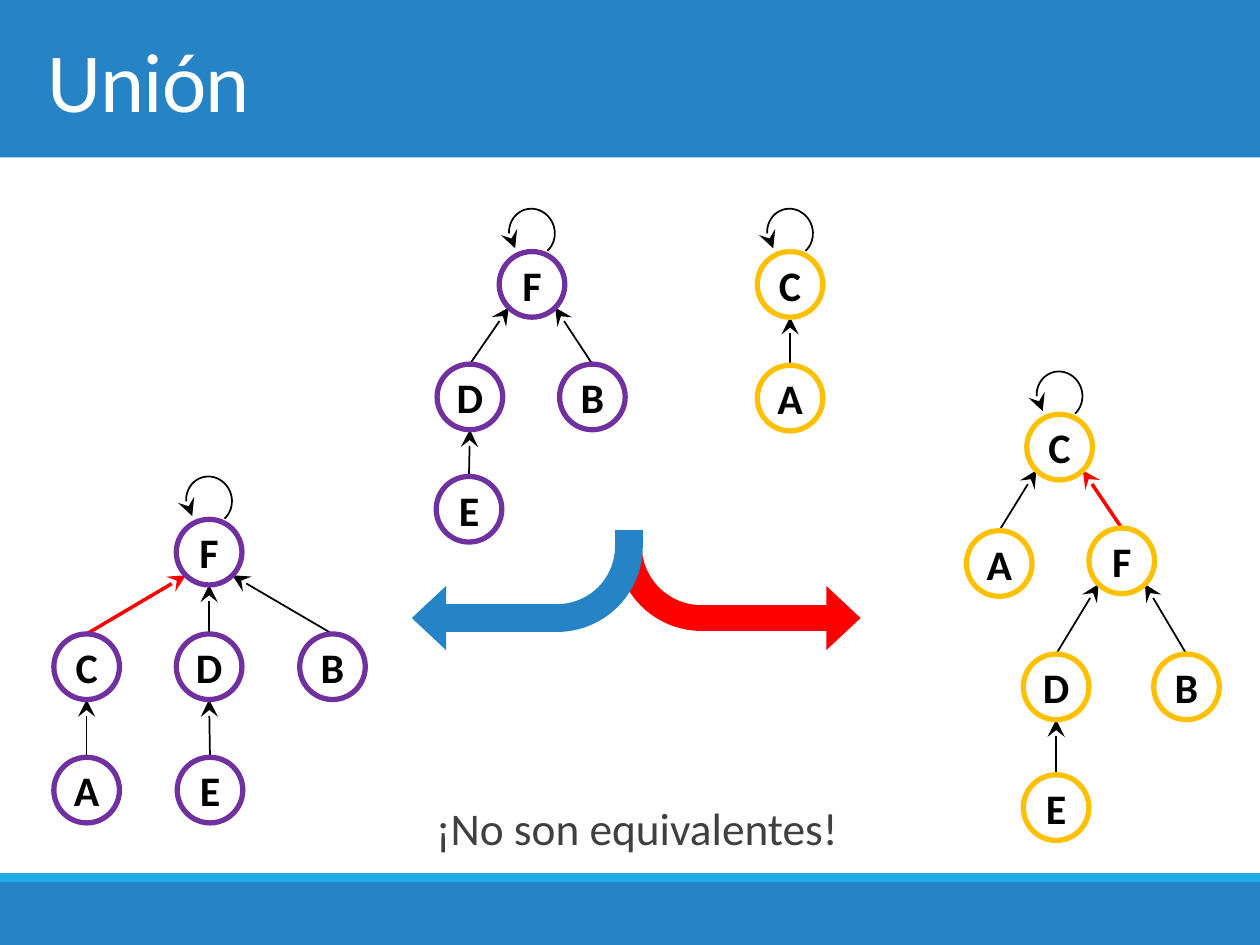
"""Build the slide that compares two ways of joining disjoint-set trees."""
from dataclasses import dataclass
from math import sqrt

from lxml import etree
from pptx import Presentation
from pptx import util as u
from pptx.dml.color import RGBColor
from pptx.enum import shapes, text
from pptx.oxml import ns


@dataclass(frozen=True)
class Theme:
    font: str = "Calibri"
    blue: str = "2683C6"
    sky: str = "1CADE4"
    white: str = "FFFFFF"
    black: str = "000000"
    grey: str = "404040"
    red: str = "FF0000"
    purple: str = "7030A0"
    gold: str = "FFC000"
    title_size: float = 48
    caption_size: float = 25.9
    node_size: float = 24


THEME = Theme()
SHAPE = shapes.MSO_SHAPE
WIDTH, HEIGHT = 720, 540
DIAMETER = 37.5
LOOP_WIDTH, LOOP_HEIGHT, LOOP_RISE = 26, 27.5, 29.5

TITLE = "Unión"
CAPTION = "¡No son equivalentes!"
BANDS = [(0, 90, THEME.blue), (504, 36, THEME.blue), (499, 5, THEME.sky)]
TREES = [
    {
        "colour": THEME.purple,
        "root": "F",
        "nodes": {"F": (119.5, 315.5), "C": (49.5, 381), "D": (119.5, 381),
                  "B": (190, 381), "A": (49.5, 451.5), "E": (120, 451.5)},
        "edges": ["CF", "DF", "BF", "AC", "ED"],
        "joined": "CF",
    },
    {
        "colour": THEME.purple,
        "root": "F",
        "nodes": {"F": (304, 162.5), "D": (268.5, 226.8),
                  "B": (338.5, 226.8), "E": (268, 291)},
        "edges": ["DF", "BF", "ED"],
        "joined": None,
    },
    {
        "colour": THEME.gold,
        "root": "C",
        "nodes": {"C": (451.5, 162.5), "A": (451.5, 227.5)},
        "edges": ["AC"],
        "joined": None,
    },
    {
        "colour": THEME.gold,
        "root": "C",
        "nodes": {"C": (605.5, 255.5), "A": (571, 322), "F": (641, 320.5),
                  "D": (603.5, 392.5), "B": (678, 392.5), "E": (603.5, 461.5)},
        "edges": ["AC", "FC", "DF", "BF", "ED"],
        "joined": "FC",
    },
]
BENT_ARROWS = [
    (352, 139.8, THEME.red, True, 0.215),
    (235.3, 132, THEME.blue, False, 0.232),
]


def points(*lengths):
    return [u.Pt(length) for length in lengths]


def style_text(para, size, colour, align, bold=False):
    para.alignment = align
    para.font.name = THEME.font
    para.font.size = u.Pt(size)
    para.font.bold = bold
    para.font.color.rgb = RGBColor.from_string(colour)


def style_line(line, colour, width, arrow_end):
    line.color.rgb = RGBColor.from_string(colour)
    line.width = u.Pt(width)
    if arrow_end:
        etree.SubElement(line._get_or_add_ln(), ns.qn(f"a:{arrow_end}"),
                         type="stealth", w="lg", len="lg")


def add_solid(slide, kind, left, top, width, height, fill):
    shape = slide.shapes.add_shape(kind, *points(left, top, width, height))
    shape.shadow.inherit = False
    shape.fill.solid()
    shape.fill.fore_color.rgb = RGBColor.from_string(fill)
    shape.line.fill.background()
    return shape


def add_edge(slide, child, parent, joined):
    shift = child[0] - parent[0]
    radius = DIAMETER / 2
    reach = radius / sqrt(2)
    if abs(shift) < 2:
        end = parent[0], parent[1] + radius
    else:
        end = parent[0] + (reach if shift > 0 else -reach), parent[1] + reach
    edge = slide.shapes.add_connector(
        shapes.MSO_CONNECTOR.STRAIGHT, *points(child[0], child[1] - radius, *end))
    style_line(edge.line, THEME.red if joined else THEME.black,
               2 if joined else 1, "tailEnd")
    etree.SubElement(edge._element.spPr, ns.qn("a:effectLst"))


def add_loop(slide, centre):
    loop = slide.shapes.add_shape(SHAPE.ARC, *points(
        centre[0] - LOOP_WIDTH / 2, centre[1] - LOOP_RISE - LOOP_HEIGHT / 2,
        LOOP_WIDTH, LOOP_HEIGHT))
    loop.shadow.inherit = False
    loop.rotation = 342.8
    loop.adjustments[0] = 92.66
    loop.adjustments[1] = 40.09
    loop.fill.background()
    style_line(loop.line, THEME.black, 1, "headEnd")


def add_node(slide, name, centre, colour):
    node = add_solid(slide, SHAPE.OVAL, centre[0] - DIAMETER / 2,
                     centre[1] - DIAMETER / 2, DIAMETER, DIAMETER, THEME.white)
    style_line(node.line, colour, 3, None)
    frame = node.text_frame
    frame.margin_left = frame.margin_right = 0
    frame.margin_top = frame.margin_bottom = 0
    frame.word_wrap = False
    frame.vertical_anchor = text.MSO_ANCHOR.MIDDLE
    frame.text = name
    style_text(frame.paragraphs[0], THEME.node_size, THEME.black,
               text.PP_ALIGN.CENTER, bold=True)


def add_tree(slide, tree):
    nodes = tree["nodes"]
    for edge in tree["edges"]:
        child, parent = edge
        add_edge(slide, nodes[child], nodes[parent], edge == tree["joined"])
    add_loop(slide, nodes[tree["root"]])
    for name, centre in nodes.items():
        add_node(slide, name, centre, tree["colour"])


def add_bent_arrow(slide, left, width, colour, flipped, shaft):
    arrow = add_solid(slide, SHAPE.BENT_ARROW, left, 303, width, 68.5, colour)
    arrow.rotation = 180
    if flipped:
        arrow._element.spPr.xfrm.set("flipH", "1")
    for index, value in enumerate((shaft, 0.268, 0.286, 0.714)):
        arrow.adjustments[index] = value


def format_title(slide):
    title = slide.shapes.title
    title.left, title.top, title.width, title.height = points(20, 0, 680, 90)
    frame = title.text_frame
    frame.text = TITLE
    frame.auto_size = text.MSO_AUTO_SIZE.NONE
    frame.vertical_anchor = text.MSO_ANCHOR.MIDDLE
    para = frame.paragraphs[0]
    style_text(para, THEME.title_size, THEME.white, text.PP_ALIGN.LEFT)
    para.runs[0].font._element.set("spc", "-50")
    slide.shapes._spTree.append(title._element)


def add_caption(slide):
    box = slide.shapes.add_textbox(*points(24, 438, 680, 50))
    box.text_frame.word_wrap = True
    para = box.text_frame.paragraphs[0]
    para.text = CAPTION
    para.line_spacing = 1.5
    style_text(para, THEME.caption_size, THEME.grey, text.PP_ALIGN.CENTER)


def main():
    deck = Presentation()
    deck.slide_width, deck.slide_height = points(WIDTH, HEIGHT)
    slide = deck.slides.add_slide(deck.slide_layouts[5])
    for top, height, colour in BANDS:
        add_solid(slide, SHAPE.RECTANGLE, 0, top, WIDTH, height, colour)
    format_title(slide)
    for tree in TREES:
        add_tree(slide, tree)
    for arrow in BENT_ARROWS:
        add_bent_arrow(slide, *arrow)
    add_caption(slide)
    deck.save("out.pptx")


if __name__ == "__main__":
    main()
